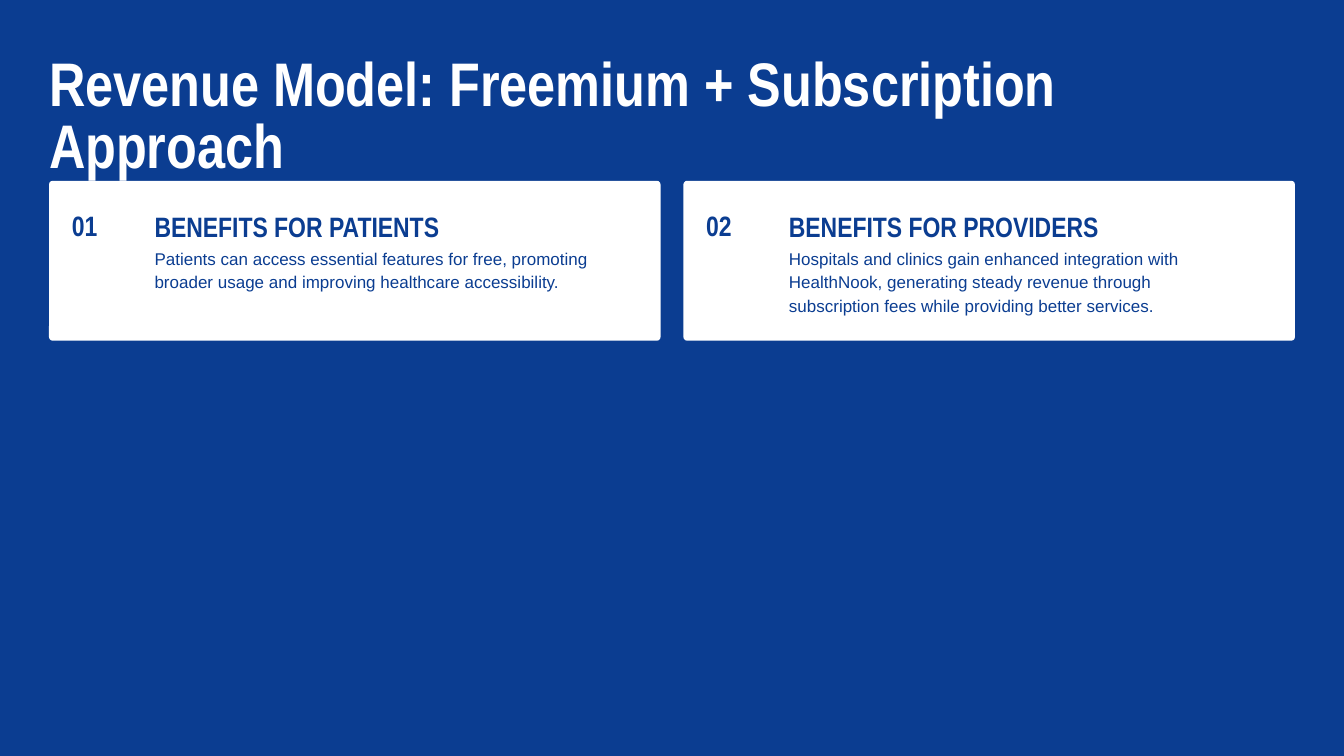
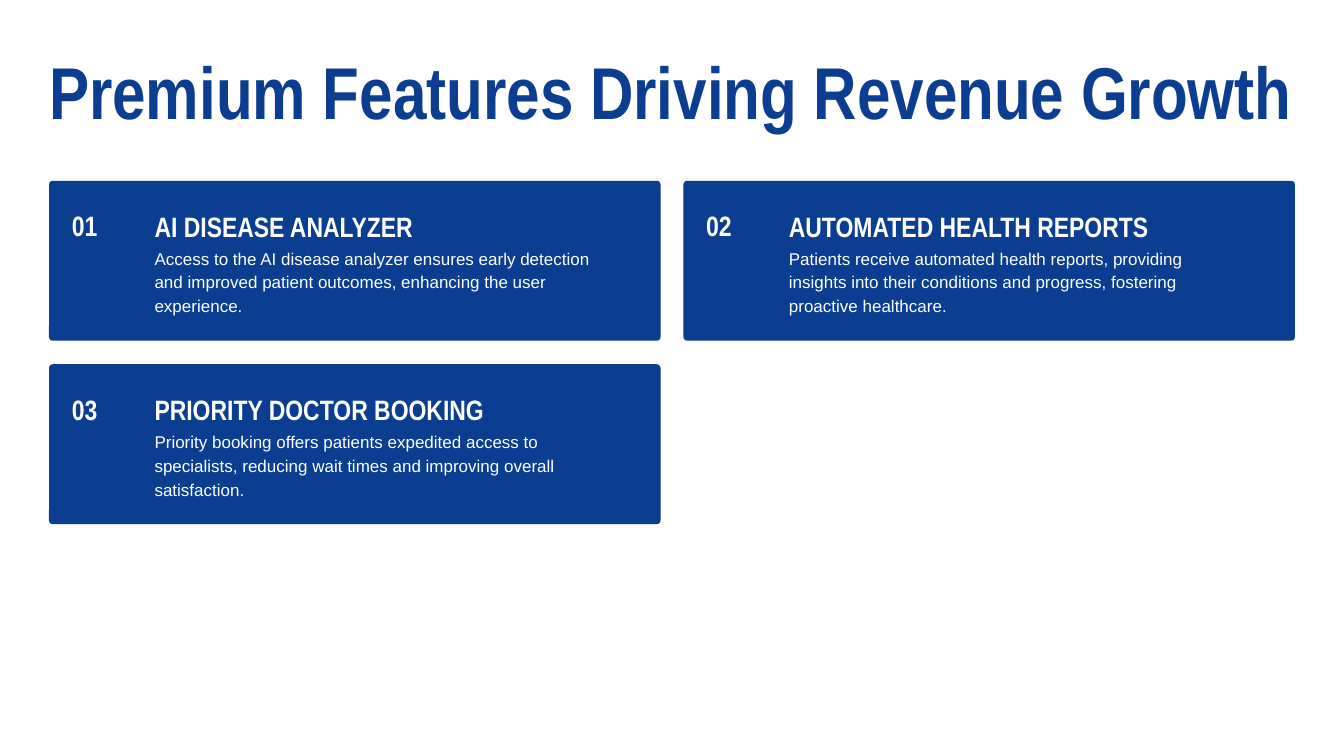
from dataclasses import dataclass

from pptx import Presentation, util as u
from pptx.dml.color import RGBColor
from pptx.enum import shapes, text
from pptx.slide import Slide
from pptx.text.text import TextFrame

BLUE = RGBColor(0x0B, 0x3D, 0x91)
WHITE = RGBColor(0xFF, 0xFF, 0xFF)
HEADING_FONT, BODY_FONT = "Arial Narrow", "Arial"

SLIDE_W, SLIDE_H = 20, 11.25
MARGIN = 0.73
CONTENT_W = SLIDE_W - 2 * MARGIN
COLUMNS = 2
GUTTER = 0.34
CARD_W = (CONTENT_W - GUTTER * (COLUMNS - 1)) / COLUMNS
CARD_H = 2.38
GRID_TOP = 2.69
ROW_GAP = 0.35
CORNER = 0.055 / CARD_H


@dataclass(frozen=True)
class TextStyle:
    font: str
    size: float
    leading: float
    bold: bool = False


@dataclass(frozen=True)
class Card:
    heading: str
    detail: str


@dataclass(frozen=True)
class Page:
    title: str
    title_size: float
    title_top: float
    title_height: float
    background: RGBColor
    accent: RGBColor
    cards: tuple[Card, ...]


HEADING = TextStyle(HEADING_FONT, 30, 42, bold=True)
DETAIL = TextStyle(BODY_FONT, 18.2, 25.5)

PAGES = (
    Page("Revenue Model: Freemium + Subscription Approach", 65.9, 0.86, 0.95, BLUE, WHITE, (
        Card("BENEFITS FOR PATIENTS",
             "Patients can access essential features for free, promoting broader usage "
             "and improving healthcare accessibility."),
        Card("BENEFITS FOR PROVIDERS",
             "Hospitals and clinics gain enhanced integration with HealthNook, generating "
             "steady revenue through subscription fees while providing better services."),
    )),
    Page("Premium Features Driving Revenue Growth", 78.6, 0.9, 1.14, WHITE, BLUE, (
        Card("AI DISEASE ANALYZER",
             "Access to the AI disease analyzer ensures early detection and improved "
             "patient outcomes, enhancing the user experience."),
        Card("AUTOMATED HEALTH REPORTS",
             "Patients receive automated health reports, providing insights into their "
             "conditions and progress, fostering proactive healthcare."),
        Card("PRIORITY DOCTOR BOOKING",
             "Priority booking offers patients expedited access to specialists, reducing "
             "wait times and improving overall satisfaction."),
    )),
)


def fill_text(frame: TextFrame, words: str, style: TextStyle, color: RGBColor) -> None:
    """Write one left-aligned paragraph in a frame without insets."""
    frame.margin_left = frame.margin_right = frame.margin_top = frame.margin_bottom = 0
    frame.word_wrap = True
    frame.auto_size = text.MSO_AUTO_SIZE.SHAPE_TO_FIT_TEXT
    frame.vertical_anchor = text.MSO_ANCHOR.TOP
    paragraph = frame.paragraphs[0]
    paragraph.text = words
    paragraph.alignment = text.PP_ALIGN.LEFT
    paragraph.line_spacing = u.Pt(style.leading)
    font = paragraph.font
    font.name, font.size, font.bold = style.font, u.Pt(style.size), style.bold
    font.color.rgb = color


def add_title(slide: Slide, page: Page) -> None:
    title = slide.shapes.title
    title.left, title.top = u.Inches(MARGIN), u.Inches(page.title_top)
    title.width, title.height = u.Inches(CONTENT_W), u.Inches(page.title_height)
    style = TextStyle(HEADING_FONT, page.title_size, page.title_size, bold=True)
    fill_text(title.text_frame, page.title, style, page.accent)


def add_card(slide: Slide, index: int, card: Card, page: Page) -> None:
    row, column = divmod(index, COLUMNS)
    left = MARGIN + column * (CARD_W + GUTTER)
    top = GRID_TOP + row * (CARD_H + ROW_GAP)
    panel = slide.shapes.add_shape(
        shapes.MSO_SHAPE.ROUNDED_RECTANGLE,
        u.Inches(left), u.Inches(top), u.Inches(CARD_W), u.Inches(CARD_H))
    panel.adjustments[0] = CORNER
    panel.shadow.inherit = False
    panel.fill.solid()
    panel.fill.fore_color.rgb = page.accent
    panel.line.fill.background()

    for words, style, dx, dy, width, height in (
        (f"{index + 1:02}", HEADING, 0.34, 0.33, 0.9, 0.55),
        (card.heading, HEADING, 1.57, 0.34, 6.53, 0.55),
        (card.detail, DETAIL, 1.57, 0.95, 6.53, 1),
    ):
        label = slide.shapes.add_textbox(
            u.Inches(left + dx), u.Inches(top + dy), u.Inches(width), u.Inches(height))
        fill_text(label.text_frame, words, style, page.background)


def main() -> None:
    deck = Presentation()
    deck.slide_width, deck.slide_height = u.Inches(SLIDE_W), u.Inches(SLIDE_H)
    title_only = deck.slide_layouts.get_by_name("Title Only")
    for page in PAGES:
        slide = deck.slides.add_slide(title_only)
        slide.background.fill.solid()
        slide.background.fill.fore_color.rgb = page.background
        add_title(slide, page)
        for index, card in enumerate(page.cards):
            add_card(slide, index, card, page)
    deck.save("out.pptx")


if __name__ == "__main__":
    main()
